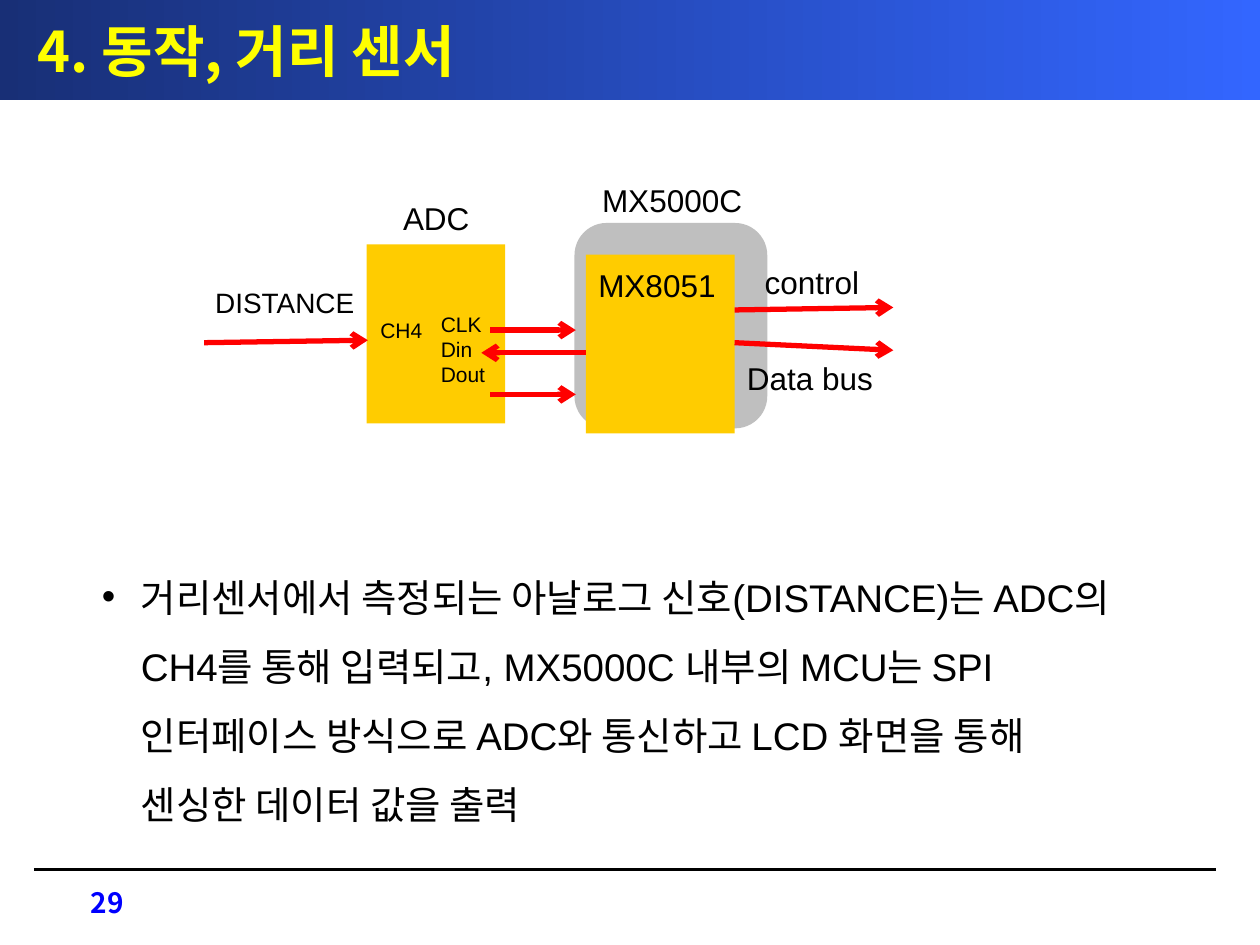
"""Build the distance sensor slide: block diagram, arrows and explanation."""
from lxml import etree
from pptx import Presentation
from pptx.dml.color import RGBColor
from pptx.enum.shapes import MSO_CONNECTOR, MSO_SHAPE
from pptx.enum.text import MSO_ANCHOR, PP_ALIGN
from pptx.oxml.ns import qn
from pptx.util import Inches, Pt

RECT, ROUND = MSO_SHAPE.RECTANGLE, MSO_SHAPE.ROUNDED_RECTANGLE
LINE = MSO_CONNECTOR.STRAIGHT
LEFT, RIGHT = PP_ALIGN.LEFT, PP_ALIGN.RIGHT
MIDDLE = MSO_ANCHOR.MIDDLE
BLACK, RED = RGBColor(0, 0, 0), RGBColor(255, 0, 0)
GOLD, GRAY = RGBColor(255, 204, 0), RGBColor(191, 191, 191)
NAVY, BLUE = RGBColor(24, 47, 118), RGBColor(51, 102, 255)
YELLOW, PURE = RGBColor(255, 255, 0), RGBColor(0, 0, 255)
LATIN, KOREAN = "Arial", "Noto Sans CJK KR"

TITLE = "4. 동작, 거리 센서"
PAGE = "29"
BODY = ("거리센서에서 측정되는 아날로그 신호(DISTANCE)는 ADC의 CH4를 통해 "
        "입력되고, MX5000C 내부의 MCU는 SPI 인터페이스 방식으로 ADC와 "
        "통신하고 LCD 화면을 통해 센싱한 데이터 값을 출력")
BLOCKS = [
    (ROUND, (4.56, 1.77, 1.53, 1.63), GRAY),
    (RECT, (4.65, 2.02, 1.18, 1.42), GOLD),
    (RECT, (2.91, 1.94, 1.1, 1.42), GOLD),
]
ARROWS = [
    (1.62, 2.72, 2.92, 2.7),
    (3.89, 2.62, 4.57, 2.62),
    (4.65, 2.8, 3.82, 2.8),
    (3.89, 3.13, 4.57, 3.13),
    (5.83, 2.46, 7.09, 2.44),
    (5.83, 2.72, 7.09, 2.78),
]
LABELS = [
    ("ADC", (3.1, 1.53, 0.79, 0.4), 18),
    ("CH4", (2.92, 2.47, 0.79, 0.3), 12),
    ("CLK Din Dout", (3.4, 2.42, 0.68, 0.71), 12),
    ("MX8051", (4.65, 2.06, 2.05, 0.4), 18),
    ("control", (5.97, 2.04, 0.99, 0.4), 18),
    ("Data bus", (5.83, 2.8, 1.26, 0.4), 18),
    ("MX5000C", (4.68, 1.39, 1.81, 0.4), 18),
    ("DISTANCE", (1.61, 2.22, 1.49, 0.37), 16),
]


def write(frame, text, size, color=BLACK, font=LATIN, bold=False, align=LEFT):
    frame.word_wrap = True
    para = frame.paragraphs[0]
    para.alignment = align
    run = para.add_run()
    run.text = text
    run.font.size, run.font.bold = Pt(size), bold
    run.font.name, run.font.color.rgb = font, color
    east = etree.SubElement(run.font._element, qn("a:ea"))
    east.set("typeface", KOREAN)
    return para


def add_text(slide, box, *args, **style):
    shape = slide.shapes.add_textbox(*map(Inches, box))
    write(shape.text_frame, *args, **style)
    return shape.text_frame


def add_block(slide, kind, box):
    shape = slide.shapes.add_shape(kind, *map(Inches, box))
    shape.shadow.inherit = False
    shape.line.fill.background()
    return shape


def add_line(slide, ends, color, width, arrow=False):
    line = slide.shapes.add_connector(LINE, *map(Inches, ends))
    line.line.color.rgb, line.line.width = color, Pt(width)
    if arrow:
        tail = etree.SubElement(line.line._get_or_add_ln(), qn("a:tailEnd"))
        tail.set("type", "arrow")
    etree.SubElement(line._element.spPr, qn("a:effectLst"))


def add_title(slide):
    bar = add_block(slide, RECT, (0, 0, 10, 0.79))
    bar.fill.gradient()
    bar.fill.gradient_angle = 0
    for stop, color in zip(bar.fill.gradient_stops, (NAVY, BLUE)):
        stop.color.rgb = color
    frame = bar.text_frame
    frame.margin_left, frame.vertical_anchor = Inches(0.3), MIDDLE
    write(frame, TITLE, 32, YELLOW, KOREAN, True)


def add_body(slide):
    frame = add_text(slide, (0.21, 4.32, 9, 2.66), BODY, 22)
    frame.margin_right = Inches(0.2)
    para = frame.paragraphs[0]
    para.line_spacing = 1.5
    props = para._p.get_or_add_pPr()
    props.set("marL", str(Inches(0.81)))
    props.set("indent", str(Inches(-0.31)))
    etree.SubElement(props, qn("a:buFont")).set("typeface", LATIN)
    etree.SubElement(props, qn("a:buChar")).set("char", "•")


def main():
    deck = Presentation()
    deck.slide_width, deck.slide_height = Inches(10), Inches(7.5)
    slide = deck.slides.add_slide(deck.slide_layouts[6])
    add_line(slide, (0.27, 6.9, 9.65, 6.9), BLACK, 1.5)
    add_title(slide)
    add_text(slide, (0.51, 6.98, 0.57, 0.42), PAGE, 16, PURE, KOREAN,
             bold=True, align=RIGHT)
    add_body(slide)
    for kind, box, color in BLOCKS:
        block = add_block(slide, kind, box)
        block.fill.solid()
        block.fill.fore_color.rgb = color
    for ends in ARROWS:
        add_line(slide, ends, RED, 3, arrow=True)
    for text, box, size in LABELS:
        add_text(slide, box, text, size)
    deck.save("out.pptx")


if __name__ == "__main__":
    main()
